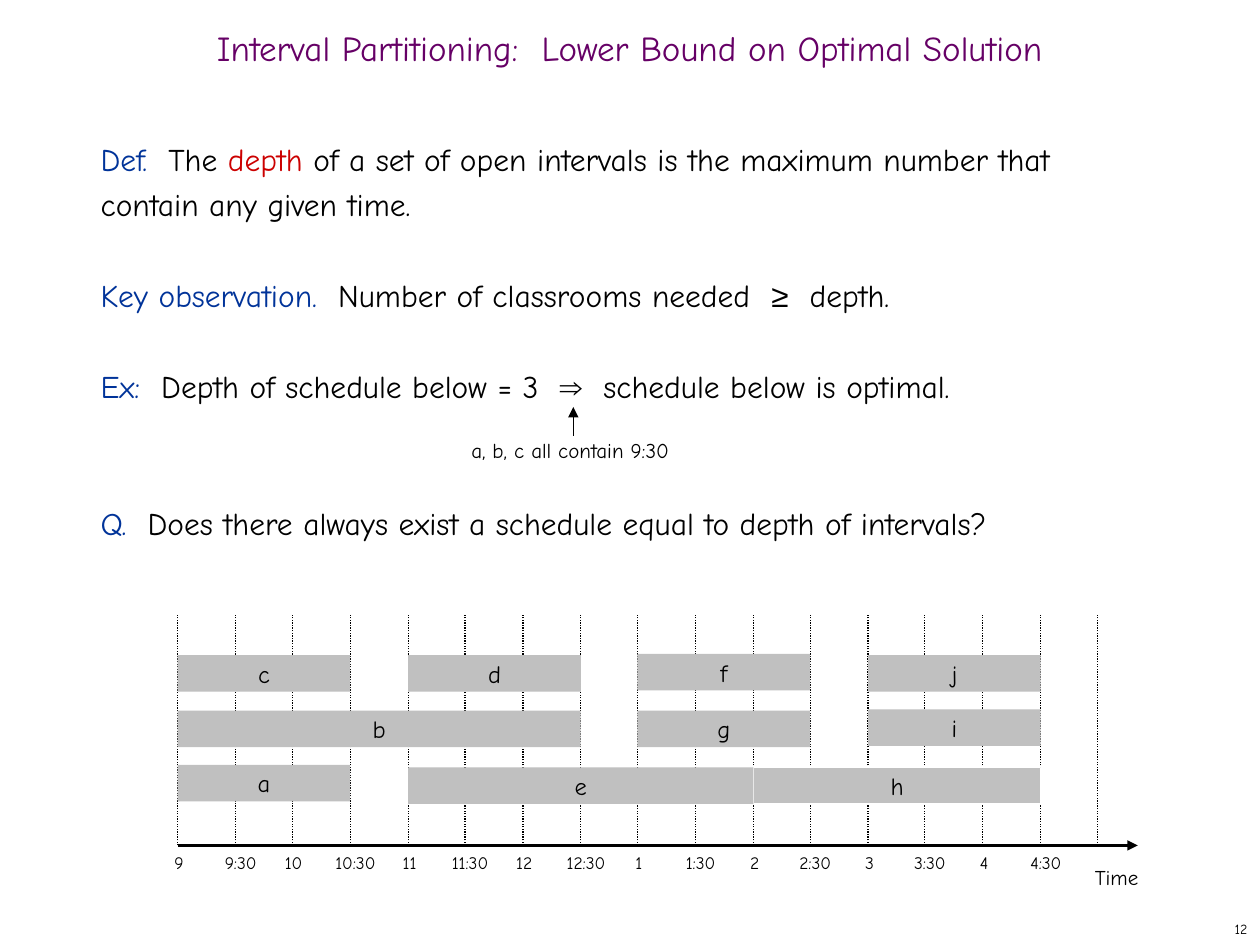
from dataclasses import dataclass

from lxml import etree
from pptx import Presentation
from pptx.dml.color import RGBColor
from pptx.enum.dml import MSO_LINE_DASH_STYLE as Dash
from pptx.enum.shapes import MSO_CONNECTOR, MSO_SHAPE
from pptx.enum.text import MSO_ANCHOR as Anchor, PP_ALIGN as Align
from pptx.oxml.ns import qn
from pptx.util import Inches, Pt


@dataclass(frozen=True)
class Theme:
    font: str = "Comic Neue"
    symbol_font: str = "Arial"
    ink: RGBColor = RGBColor(0x00, 0x00, 0x00)
    title: RGBColor = RGBColor(0x66, 0x00, 0x66)
    lead: RGBColor = RGBColor(0x00, 0x33, 0x99)
    term: RGBColor = RGBColor(0xCC, 0x00, 0x00)
    bar: RGBColor = RGBColor(0xC0, 0xC0, 0xC0)
    edge: RGBColor = RGBColor(0xFF, 0xFF, 0xFF)
    title_size: int = 20
    body_size: int = 18
    bar_size: int = 14
    note_size: int = 12
    tick_size: int = 10
    page_size: int = 8


theme = Theme()
presentation = Presentation()
presentation.slide_width = Inches(10)
presentation.slide_height = Inches(7.5)
slide = presentation.slides.add_slide(presentation.slide_layouts[6])


def add_text(box, runs, size, align=Align.LEFT, anchor=Anchor.TOP, wrap=True):
    """Put (text, colour, font) runs in a new text box, or in a given shape."""
    shape = slide.shapes.add_textbox(*map(Inches, box)) if isinstance(box, tuple) else box
    frame = shape.text_frame
    frame.word_wrap = wrap
    frame.vertical_anchor = anchor
    paragraph = frame.paragraphs[0]
    if paragraph.runs:
        paragraph = frame.add_paragraph()
    paragraph.alignment = align
    for text, color, font in runs:
        run = paragraph.add_run()
        run.text = text
        run.font.size = Pt(size)
        run.font.name = font
        run.font.color.rgb = color
    return shape, paragraph


def add_line(start, end, width, dash=None, arrow=False):
    line = slide.shapes.add_connector(MSO_CONNECTOR.STRAIGHT, *map(Inches, start + end))
    line.line.color.rgb = theme.ink
    line.line.width = Pt(width)
    if dash:
        line.line.dash_style = dash
    if arrow:
        etree.SubElement(line.line._get_or_add_ln(), qn("a:tailEnd"), type="triangle")
    etree.SubElement(line._element.spPr, qn("a:effectLst"))


# Time grid: one dotted line each half hour
grid_left, step, axis_y = 1.41, 0.4565, 6.71
ticks = [round(grid_left + step * slot, 2) for slot in range(17)]
for x in ticks:
    add_line((x, axis_y), (x, 4.87), 0.75, dash=Dash.ROUND_DOT)

# Title and page number
add_text((0, 0.17, 10, 0.5),
         [("Interval Partitioning:  Lower Bound on Optimal Solution", theme.title, theme.font)],
         theme.title_size, Align.CENTER, Anchor.MIDDLE)[1].line_spacing = 0.7
add_text((7.92, 7.25, 2.08, 0.25), [("12", theme.ink, theme.font)],
         theme.page_size, Align.RIGHT, Anchor.MIDDLE)

# Statements: space before in points, then the runs
statements = [
    (0, [("Def.  ", theme.lead, theme.font),
         ("The ", theme.ink, theme.font),
         ("depth", theme.term, theme.font),
         (" of a set of open intervals is the maximum number that contain any given time.",
          theme.ink, theme.font)]),
    (26, [("Key observation.  ", theme.lead, theme.font),
          ("Number of classrooms needed  ", theme.ink, theme.font),
          ("≥", theme.ink, theme.symbol_font),
          ("  depth.", theme.ink, theme.font)]),
    (26, [("Ex:  ", theme.lead, theme.font),
          ("Depth of schedule below = 3  ", theme.ink, theme.font),
          ("⇒", theme.ink, theme.symbol_font),
          ("  schedule below is optimal.", theme.ink, theme.font)]),
    (52, [("Q.  ", theme.lead, theme.font),
          ("Does there always exist a schedule equal to depth of intervals?",
           theme.ink, theme.font)]),
]
body = (0.7, 1, 8.58, 5.92)
for gap, runs in statements:
    body, paragraph = add_text(body, runs, theme.body_size)
    paragraph.line_spacing = Pt(26)
    paragraph.space_before = Pt(gap)

# Time axis and its labels
add_line((grid_left, axis_y), (9.03, axis_y), 1.25, arrow=True)
add_text((8.59, 6.81, 0.72, 0.3), [("Time", theme.ink, theme.font)], theme.note_size)
label_width = 0.52
for slot, x in enumerate(ticks[:-1]):
    hour = (8 + slot // 2) % 12 + 1
    half = slot % 2 == 1
    center = x + (0.04 if half else 0.01)
    add_text((center - label_width / 2, axis_y, label_width, 0.27),
             [(f"{hour}:30" if half else f"{hour}", theme.ink, theme.font)],
             theme.tick_size, Align.CENTER, wrap=False)

# Scheduled intervals: name, first slot, last slot, top
intervals = [
    ("h", 10, 15, 6.09), ("c", 0, 3, 5.2), ("a", 0, 3, 6.07),
    ("e", 4, 10, 6.09), ("f", 8, 11, 5.19), ("g", 8, 11, 5.64),
    ("i", 12, 15, 5.63), ("j", 12, 15, 5.2), ("d", 4, 7, 5.2),
    ("b", 0, 7, 5.64),
]
for name, first, last, top in intervals:
    bar = slide.shapes.add_shape(
        MSO_SHAPE.RECTANGLE, Inches(ticks[first]), Inches(top),
        Inches(ticks[last] - ticks[first]), Inches(0.29))
    bar.shadow.inherit = False
    bar.fill.solid()
    bar.fill.fore_color.rgb = theme.bar
    if name == "h":
        bar.line.color.rgb = theme.edge
        bar.line.width = Pt(0.75)
    else:
        bar.line.fill.background()
    add_text(bar, [(name, theme.ink, theme.font)], theme.bar_size,
             Align.CENTER, Anchor.MIDDLE, wrap=False)

# Note under the example
note, _ = add_text((3.74, 3.47, 1.98, 0.2),
                   [("a, b, c all contain 9:30", theme.ink, theme.font)], theme.note_size)
frame = note.text_frame
frame.margin_left = frame.margin_right = frame.margin_top = frame.margin_bottom = 0
add_line((4.55, 3.46), (4.55, 3.23), 0.75, arrow=True)

presentation.save("out.pptx")
